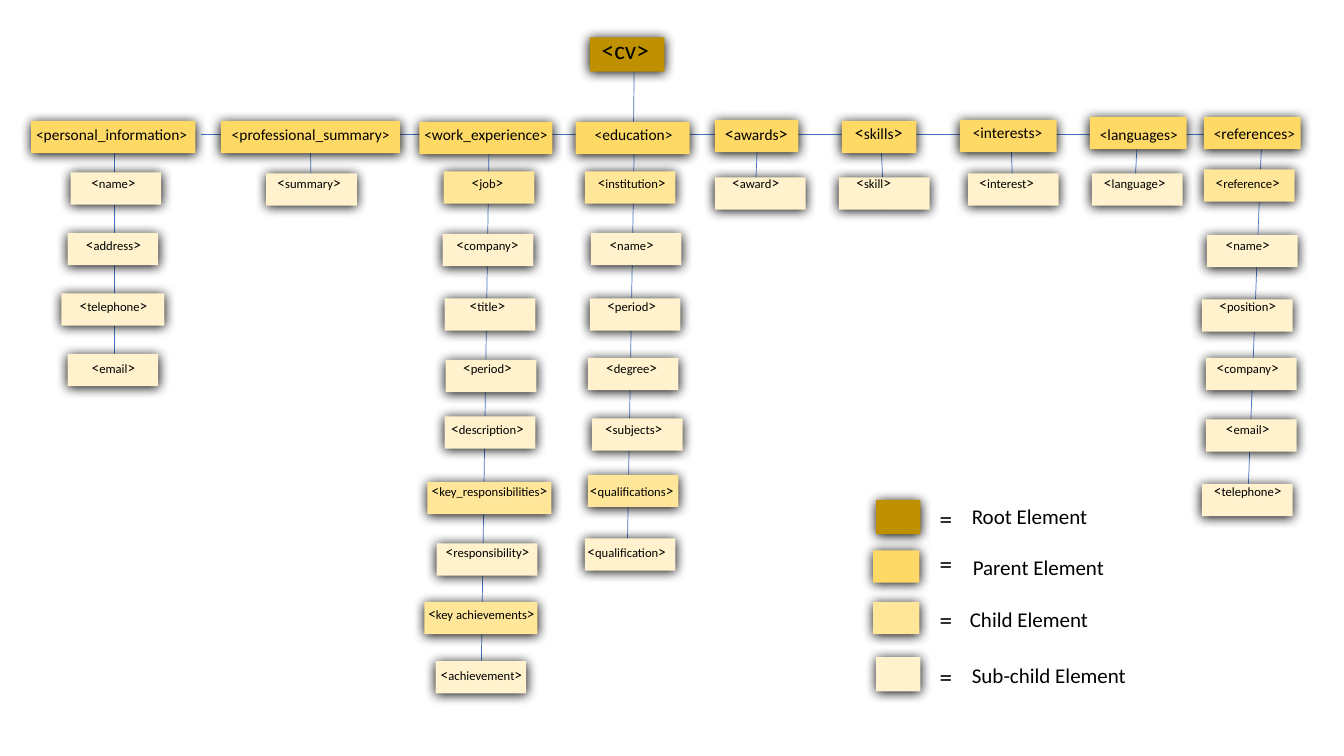
from lxml.etree import SubElement
from pptx import Presentation
from pptx.dml.color import RGBColor
from pptx.enum.shapes import MSO_CONNECTOR, MSO_SHAPE
from pptx.enum.text import MSO_AUTO_SIZE as AutoSize, PP_ALIGN as Align
from pptx.oxml.ns import qn
from pptx.util import Inches, Pt

BLACK = RGBColor(0, 0, 0)
BLUE = RGBColor(0x44, 0x72, 0xC4)
FILLS = {
    "root": RGBColor(0xBF, 0x90, 0x00),
    "parent": RGBColor(0xFF, 0xD9, 0x66),
    "child": RGBColor(0xFF, 0xE6, 0x99),
    "sub": RGBColor(0xFF, 0xF2, 0xCC),
}
FONT = "Calibri"
BOX_W, BOX_H, ROOT_H = 0.9, 0.32, 0.34
LABEL_W, LABEL_H, LABEL_TOP, LABEL_STEP = 1.49, 0.29, 1.67, 0.61

# Parent: name, box (left, top, width), label (left, top, width), bracket size
PARENTS = [
    ("personal_information", (0.31, 1.2, 1.63), (0.26, 1.19, 1.73), 11),
    ("professional_summary", (2.19, 1.2, 1.78), (2.2, 1.19, 2.12), 11),
    ("work_experience", (4.16, 1.21, 1.32), (4.11, 1.19, 1.47), 11),
    ("education", (5.71, 1.21, 1.13), (5.8, 1.19, 0.98), 11),
    ("awards", (7.09, 1.19, 0.83), (7.09, 1.16, 0.83), 13),
    ("skills", (8.35, 1.2, 0.74), (8.38, 1.15, 0.71), 13),
    ("interests", (9.52, 1.19, 0.96), (9.55, 1.17, 0.96), 11),
    ("languages", (10.81, 1.16, 0.96), (10.81, 1.19, 1.13), 11),
    ("references", (11.94, 1.16, 0.96), (11.94, 1.18, 1.13), 11),
]

# Branch: label left, trunk ends, nodes of (name, level, box left, top, width)
BRANCHES = [
    (0.38, (1.13, 1.48, 1.13, 3.79), [
        ("name", "sub", 0.7, 1.71, BOX_W), ("address", "sub", 0.67, 2.31, BOX_W),
        ("telephone", "sub", 0.61, 2.91, 1.02), ("email", "sub", 0.67, 3.51, BOX_W)]),
    (2.32, (3.08, 1.52, 3.09, 2.04), [("summary", "sub", 2.64, 1.72, BOX_W)]),
    (4.09, (4.85, 1.48, 4.77, 6.87), [
        ("job", "child", 4.4, 1.7, BOX_W), ("company", "sub", 4.39, 2.32, BOX_W),
        ("title", "sub", 4.41, 2.96, BOX_W), ("period", "sub", 4.42, 3.57, BOX_W),
        ("description", "sub", 4.41, 4.13, BOX_W),
        ("key_responsibilities", "child", 4.24, 4.78, 1.23),
        ("responsibility", "sub", 4.33, 5.39, 1.0),
        ("key achievements", "child", 4.21, 5.97, 1.12),
        ("achievement", "sub", 4.32, 6.56, BOX_W)]),
    (5.52, (6.29, 1.48, 6.22, 5.59), [
        ("institution", "child", 5.8, 1.7, BOX_W), ("name", "sub", 5.86, 2.31, BOX_W),
        ("period", "sub", 5.85, 2.96, BOX_W), ("degree", "sub", 5.83, 3.55, BOX_W),
        ("subjects", "sub", 5.87, 4.15, BOX_W),
        ("qualifications", "child", 5.83, 4.71, BOX_W),
        ("qualification", "sub", 5.8, 5.34, BOX_W)]),
    (6.75, (7.51, 1.48, 7.49, 1.96), [("award", "sub", 7.09, 1.76, BOX_W)]),
    (7.92, (8.74, 1.47, 8.77, 2.08), [("skill", "sub", 8.32, 1.76, BOX_W)]),
    (9.24, (10.03, 1.46, 10.05, 2.04), [("interest", "sub", 9.6, 1.72, BOX_W)]),
    (10.51, (11.28, 1.39, 11.25, 1.96), [("language", "sub", 10.83, 1.72, BOX_W)]),
    (11.63, (12.51, 1.47, 12.37, 5.12), [
        ("reference", "child", 11.94, 1.68, BOX_W), ("name", "sub", 11.97, 2.33, BOX_W),
        ("position", "sub", 11.92, 2.97, BOX_W), ("company", "sub", 11.96, 3.55, BOX_W),
        ("email", "sub", 11.96, 4.16, BOX_W), ("telephone", "sub", 11.92, 4.8, BOX_W)]),
]
LABEL_SHIFTS = {"key_responsibilities": 0.02, "key achievements": -0.06,
                "achievement": -0.06, "subjects": 0.02, "qualification": -0.05}
ROOT_LINES = [(6.29, 0.69, 6.28, 1.53), (1.99, 1.33, 11.94, 1.33)]

# Legend: level, swatch (left, top, width, height), sign top, label (left, top, width)
LEGEND = [
    ("root", (8.69, 4.96, 0.44, ROOT_H), 4.94, "Root Element", (9.54, 4.95, 1.36)),
    ("parent", (8.66, 5.46, 0.46, BOX_H), 5.39, "Parent Element", (9.55, 5.45, 1.52)),
    ("child", (8.66, 5.97, 0.46, BOX_H), 5.95, "Child Element", (9.52, 5.97, 1.39)),
    ("sub", (8.69, 6.52, 0.44, ROOT_H), 6.51, "Sub-child Element", (9.54, 6.52, 1.75)),
]


def add_line(page, ends):
    line = page.shapes.add_connector(MSO_CONNECTOR.STRAIGHT, *map(Inches, ends))
    line.line.color.rgb = BLUE
    line.line.width = Pt(0.5)
    SubElement(line._element.spPr, qn("a:effectLst"))


def add_box(page, level, left, top, width, height=BOX_H):
    box = page.shapes.add_shape(MSO_SHAPE.RECTANGLE, *map(Inches, (left, top, width, height)))
    box.fill.solid()
    box.fill.fore_color.rgb = FILLS[level]
    box.line.fill.background()
    box.shadow.inherit = False
    effects = box._element.spPr.find(qn("a:effectLst"))
    shadow = SubElement(effects, qn("a:outerShdw"), blurRad=str(Pt(8.5)), dist=str(Pt(1)),
                        dir="5400000", algn="ctr", rotWithShape="0")
    SubElement(shadow, qn("a:srgbClr"), val=str(BLACK))


def add_text(page, spans, left, top, width, height, align=Align.LEFT, wrap=True):
    box = page.shapes.add_textbox(*map(Inches, (left, top, width, height)))
    box.text_frame.word_wrap = wrap
    box.text_frame.auto_size = AutoSize.SHAPE_TO_FIT_TEXT
    para = box.text_frame.paragraphs[0]
    para.alignment = align
    para.font.name = FONT
    para.font.color.rgb = BLACK
    para.font.size = Pt(spans[0][1])
    for text, size in spans:
        span = para.add_run()
        span.text = text
        if size != spans[0][1]:
            span.font.size = Pt(size)


def tag(name, size, bracket_size):
    if size == bracket_size:
        return [(f"<{name}>", size)]
    return [("<", bracket_size), (name, size), (">", bracket_size)]


def main():
    """Build the element tree of a CV document with its legend."""
    deck = Presentation()
    deck.slide_width, deck.slide_height = Inches(13.33), Inches(7.5)
    page = deck.slides.add_slide(deck.slide_layouts[6])

    for ends in ROOT_LINES + [trunk for _, trunk, _ in BRANCHES]:
        add_line(page, ends)

    add_box(page, "root", 5.85, 0.37, 0.74, ROOT_H)
    add_text(page, tag("cv", 18, 18), 5.87, 0.29, 0.83, 0.4)

    for label_left, _, nodes in BRANCHES:
        for row, (name, level, left, top, width) in enumerate(nodes):
            add_box(page, level, left, top, width)
            add_text(page, tag(name, 9, 11), label_left + LABEL_SHIFTS.get(name, 0),
                     LABEL_TOP + row * LABEL_STEP, LABEL_W, LABEL_H, Align.CENTER)

    for name, box, label, bracket_size in PARENTS:
        add_box(page, "parent", *box)
        label_height = 0.32 if bracket_size == 13 else LABEL_H
        add_text(page, tag(name, 11, bracket_size), *label, label_height)

    for level, swatch, sign_top, text, label in LEGEND:
        add_box(page, level, *swatch)
        add_text(page, [("=", 18)], 9.22, sign_top, 0.33, 0.4, wrap=False)
        add_text(page, [(text, 15)], *label, 0.35, wrap=False)

    deck.save("out.pptx")


main()
